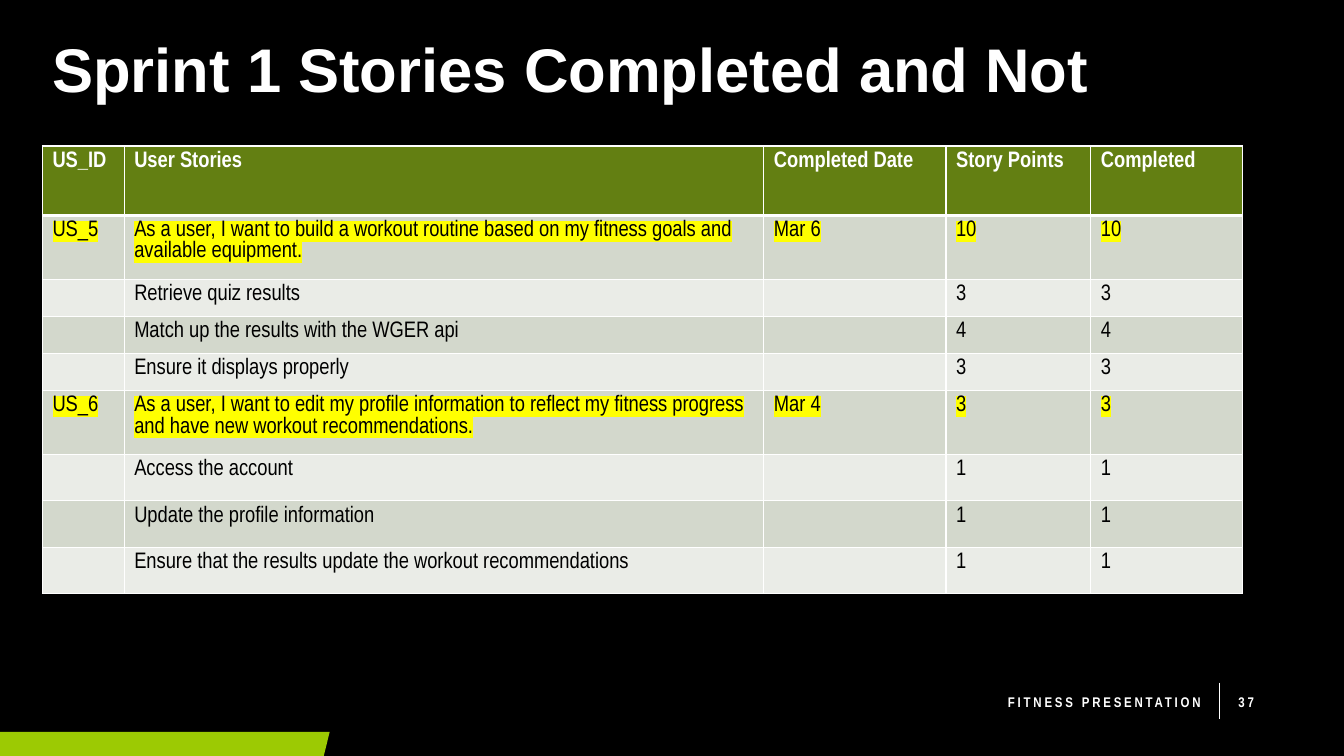
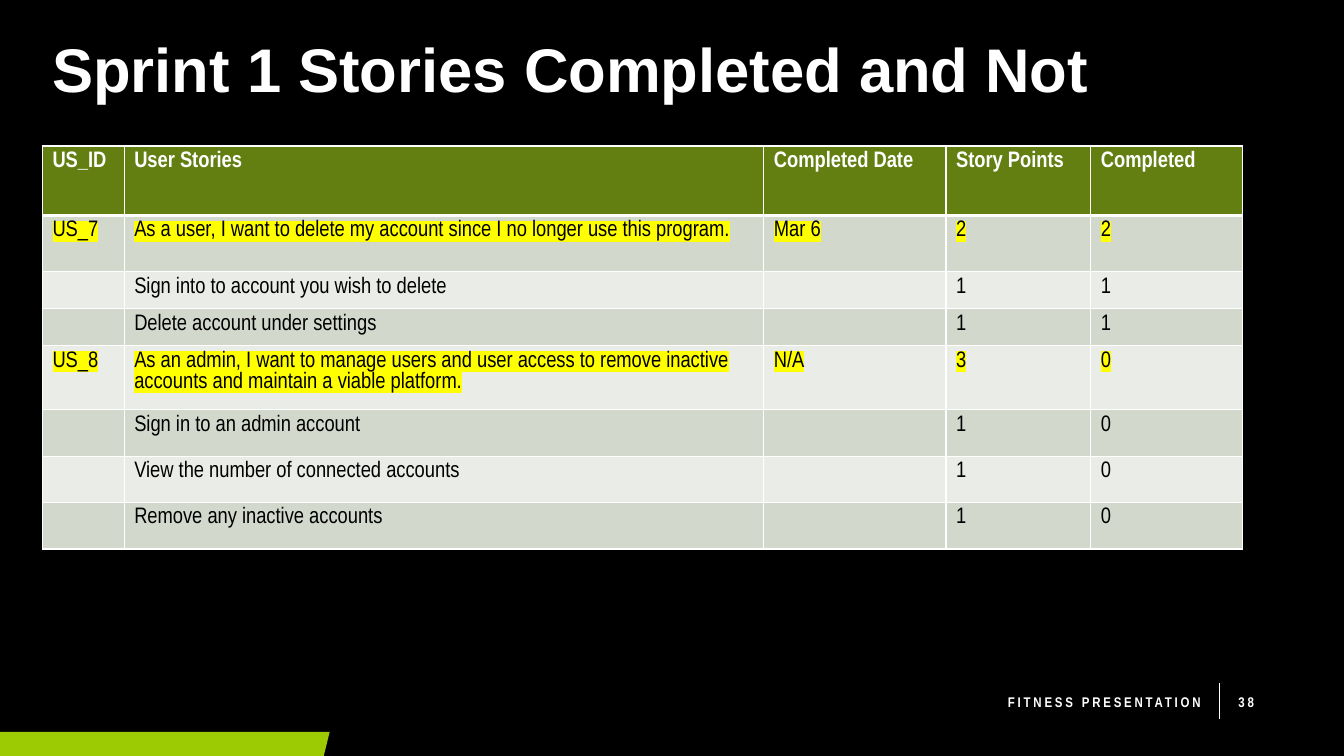
import dataclasses

import lxml.etree
import pptx
import pptx.dml.color
import pptx.enum.shapes
import pptx.enum.text
import pptx.oxml.ns
import pptx.util

Cm = pptx.util.Cm
Pt = pptx.util.Pt
qn = pptx.oxml.ns.qn

COLOURS = {
    "page": "000000",
    "light": "FFFFFF",
    "dark": "000000",
    "accent": "9CCA03",
    "header": "637F12",
    "band_odd": "D3D8CC",
    "band_even": "EAECE7",
    "highlight": "FFFF00",
}
TITLE_FONT = "Arial"
BODY_FONT = "Arial Narrow"
TABLE_SIZE = 16


@dataclasses.dataclass
class Box:
    """A region in centimetres."""
    left: float
    top: float
    width: float
    height: float

    def lengths(self):
        return [Cm(side) for side in (self.left, self.top, self.width, self.height)]


PAGE = Box(0, 0, 33.87, 19.05)
TITLE = Box(1.07, 0, 30.5, 3.68)
TABLE = Box(1.07, 3.68, 30.25, 0)
FOOTER = Box(19.71, 17.17, 12.47, 1.02)
BAND = Box(0, 18.44, 8.31, 0.61)

COLUMN_WIDTHS = [2.06, 16.12, 4.59, 3.65, 3.83]
HEADINGS = ["US_ID", "User Stories", "Completed Date", "Story Points", "Completed"]
HEADER_HEIGHT = 1.75

# Each row: height, then the text of its cells; a row with an ID is a story.
SPRINT_PAGES = [
    (37, [
        (1.42, "US_5", "As a user, I want to build a workout routine based on my "
                       "fitness goals and available equipment.", "Mar 6", "10", "10"),
        (0.94, "", "Retrieve quiz results", "", "3", "3"),
        (0.82, "", "Match up the results with the WGER api", "", "4", "4"),
        (0.82, "", "Ensure it displays properly", "", "3", "3"),
        (1.58, "US_6", "As a user, I want to edit my profile information to reflect my "
                       "fitness progress and have new workout recommendations.",
         "Mar 4", "3", "3"),
        (1.17, "", "Access the account", "", "1", "1"),
        (1.17, "", "Update the profile information", "", "1", "1"),
        (1.17, "", "Ensure that the results update the workout recommendations",
         "", "1", "1"),
    ]),
    (38, [
        (1.42, "US_7", "As a user, I want to delete my account since I no longer use "
                       "this program.", "Mar 6", "2", "2"),
        (0.82, "", "Sign into to account you wish to delete", "", "1", "1"),
        (0.82, "", "Delete account under settings", "", "1", "1"),
        (1.58, "US_8", "As an admin, I want to manage users and user access to remove "
                       "inactive accounts and maintain a viable platform.",
         "N/A", "3", "0"),
        (1.17, "", "Sign in to an admin account", "", "1", "0"),
        (1.17, "", "View the number of connected accounts", "", "1", "0"),
        (1.17, "", "Remove any inactive accounts", "", "1", "0"),
    ]),
]


def colour(name):
    return pptx.dml.color.RGBColor.from_string(COLOURS[name])


def paint(fill, name):
    fill.solid()
    fill.fore_color.rgb = colour(name)


def add_solid(parent, tag, name):
    element = lxml.etree.SubElement(parent, qn(tag))
    lxml.etree.SubElement(element, qn("a:srgbClr"), val=COLOURS[name])


def add_span(para, text, font, size, ink, bold=False):
    span = para.add_run()
    span.text = text
    span.font.name = font
    span.font.size = Pt(size)
    span.font.bold = bold
    span.font.color.rgb = colour(ink)
    return span


def highlight(span):
    properties = span.font._element
    add_solid(properties, "a:highlight", "highlight")
    properties.find(qn("a:solidFill")).addnext(properties[-1])


def add_text_box(page, box):
    """Add a wrapping, vertically centred text box and return its paragraph."""
    frame = page.shapes.add_textbox(*box.lengths()).text_frame
    frame.word_wrap = True
    frame.vertical_anchor = pptx.enum.text.MSO_ANCHOR.MIDDLE
    return frame.paragraphs[0]


def add_title(page, box, text):
    para = add_text_box(page, box)
    para.line_spacing = 0.9
    add_span(para, text, TITLE_FONT, 44, "light", bold=True)


def add_band(page, box):
    """Draw the corner band with its slanted right end."""
    right, bottom = box.left + box.width, box.top + box.height
    builder = page.shapes.build_freeform(Cm(box.left), Cm(box.top))
    builder.add_line_segments([
        (Cm(right), Cm(box.top)),
        (Cm(right - 0.15), Cm(bottom)),
        (Cm(box.left), Cm(bottom)),
    ])
    band = builder.convert_to_shape()
    band.shadow.inherit = False
    paint(band.fill, "accent")
    band.line.fill.background()


def add_footer(page, box, number):
    right = box.left + box.width - 1.67
    label = Box(box.left, box.top, 10.8, box.height)
    counter = Box(right + 0.45, box.top, 1.22, box.height)
    for part, text, align in (
        (label, "FITNESS PRESENTATION", pptx.enum.text.PP_ALIGN.RIGHT),
        (counter, str(number), pptx.enum.text.PP_ALIGN.LEFT),
    ):
        para = add_text_box(page, part)
        para.alignment = align
        span = add_span(para, text, BODY_FONT, 10, "light", bold=True)
        span.font._element.set("spc", "200")

    divider = page.shapes.add_connector(
        pptx.enum.shapes.MSO_CONNECTOR.STRAIGHT,
        Cm(right + 0.22), Cm(box.top + 0.03), Cm(right + 0.22), Cm(box.top + 0.94))
    divider.line.color.rgb = colour("light")
    divider.line.width = Pt(1)
    lxml.etree.SubElement(divider._element.spPr, qn("a:effectLst"))


def set_borders(cell, top, bottom):
    """Give a cell white borders; top and bottom are widths in points."""
    properties = cell._tc.get_or_add_tcPr()
    widths = {"a:lnL": 1, "a:lnR": 1, "a:lnT": top, "a:lnB": bottom}
    for place, (tag, width) in enumerate(widths.items()):
        border = lxml.etree.Element(qn(tag), w=str(Pt(width)))
        add_solid(border, "a:solidFill", "light")
        properties.insert(place, border)


def fill_cell(cell, text, row_index, is_story):
    is_header = row_index == 0
    band = "header" if is_header else "band_odd" if row_index % 2 else "band_even"
    paint(cell.fill, band)
    set_borders(cell, top=3 if row_index == 1 else 1, bottom=3 if is_header else 1)
    para = cell.text_frame.paragraphs[0]
    if text:
        ink = "light" if is_header else "dark"
        span = add_span(para, text, BODY_FONT, TABLE_SIZE, ink, bold=is_header)
        if is_story:
            highlight(span)
    else:
        end = lxml.etree.SubElement(para._p, qn("a:endParaRPr"), sz=str(TABLE_SIZE * 100))
        lxml.etree.SubElement(end, qn("a:latin"), typeface=BODY_FONT)


def add_story_table(page, box, stories):
    rows = [(HEADER_HEIGHT, *HEADINGS), *stories]
    height = sum(row[0] for row in rows)
    area = Box(box.left, box.top, box.width, height)
    table = page.shapes.add_table(len(rows), len(HEADINGS), *area.lengths()).table
    for column, width in zip(table.columns, COLUMN_WIDTHS):
        column.width = Cm(width)
    for row_index, (row_height, *texts) in enumerate(rows):
        table.rows[row_index].height = Cm(row_height)
        is_story = row_index > 0 and bool(texts[0])
        for column_index, text in enumerate(texts):
            fill_cell(table.cell(row_index, column_index), text, row_index, is_story)


def add_sprint_page(deck, number, stories):
    page = deck.slides.add_slide(deck.slide_layouts[6])
    paint(page.background.fill, "page")
    add_band(page, BAND)
    add_title(page, TITLE, "Sprint 1 Stories Completed and Not")
    add_footer(page, FOOTER, number)
    add_story_table(page, TABLE, stories)


def main():
    deck = pptx.Presentation()
    deck.slide_width = Cm(PAGE.width)
    deck.slide_height = Cm(PAGE.height)
    for number, stories in SPRINT_PAGES:
        add_sprint_page(deck, number, stories)
    deck.save("out.pptx")


if __name__ == "__main__":
    main()
